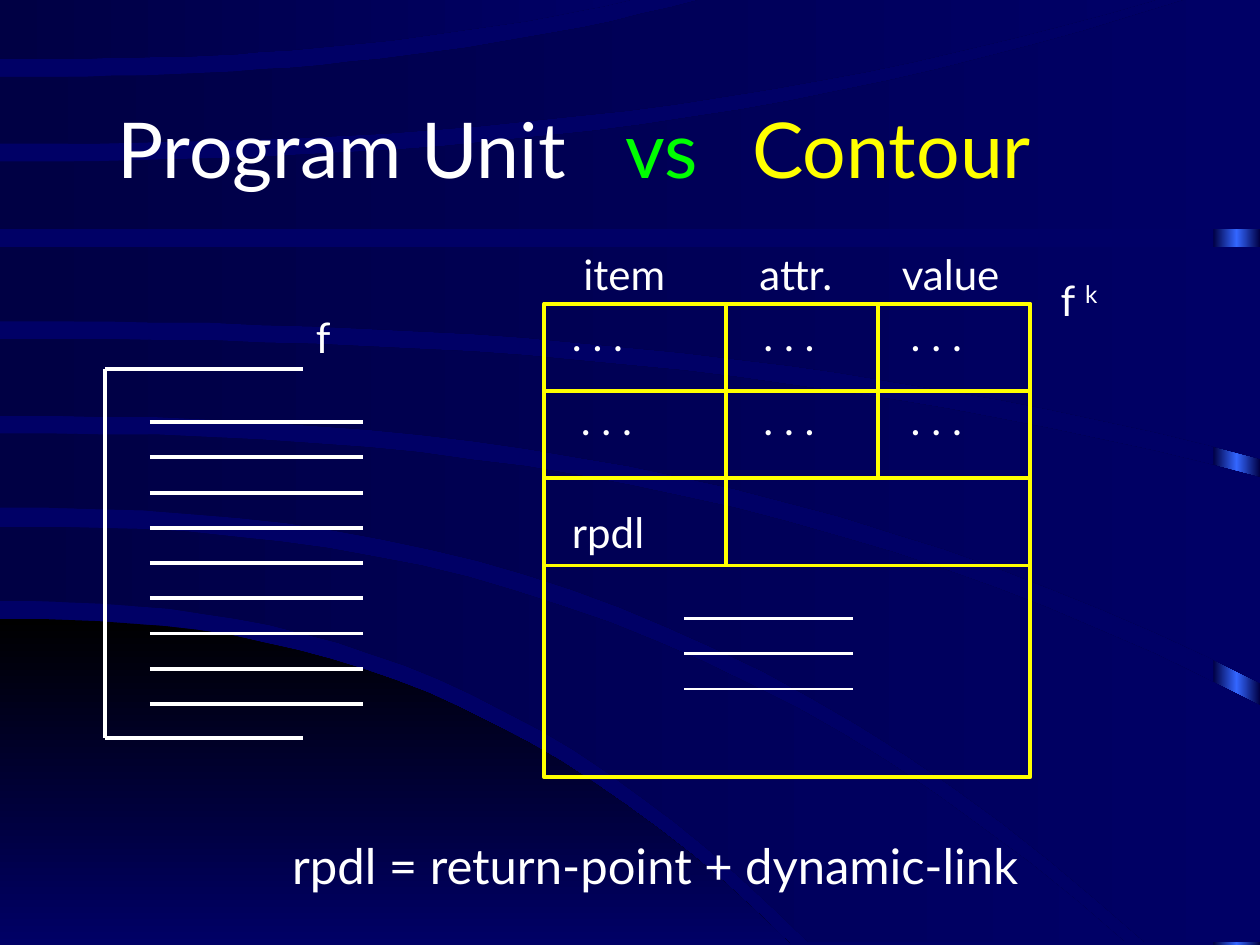
from copy import deepcopy

from lxml.etree import SubElement
from pptx import Presentation
from pptx.dml.color import RGBColor
from pptx.enum.shapes import MSO_CONNECTOR, MSO_SHAPE
from pptx.enum.text import MSO_ANCHOR, MSO_AUTO_SIZE, PP_ALIGN
from pptx.oxml.ns import qn
from pptx.util import Cm, Pt

FONT = "Lato"
WHITE, YELLOW, GREEN = "FFFFFF", "FFFF00", "00FF00"
BLACK, NAVY, MIDNIGHT, BRIGHT = "000000", "000066", "000044", "3366FF"

# Backdrop edges as (y at the left side, end x, end y), on a 1000 x 750 grid
GRID_UNIT = Cm(25.4) / 1000
EDGE_STEPS = 24
EDGE_POWER = 2.4
HILL = ((491, 628, 750), (750, 628, 750))
BANDS = [
    ((418, 893, 748), (477, 642, 748)),
    ((344, 1000, 560), (403, 909, 748)),
    ((269, 1000, 379), (330, 1000, 542)),
    ((196, 1000, 196), (255, 1000, 364)),
    ((128, 940, 0), (182, 1000, 182)),
    ((61, 555, 0), (114, 917, 0)),
    ((0, 500, 0), (47, 500, 0)),
]

TABLE_LEFT, TABLE_TOP, TABLE_RIGHT, TABLE_BOTTOM = 10.97, 6.12, 20.77, 15.67
ROW_HEIGHT = 1.76
COLUMN_LINES = [(14.63, 3), (17.7, 2)]  # x and number of rows crossed
LINE_GAP = 0.71


def color(value):
    return RGBColor.from_string(value)


def paint_gradient(shape, colors, angle=0):
    """Spread the colours evenly; the angle runs counter-clockwise."""
    shape.shadow.inherit = False
    shape.line.fill.background()
    shape.fill.gradient()
    shape.fill.gradient_angle = angle
    stop_list = shape._element.spPr.find(".//" + qn("a:gsLst"))
    for _ in colors[2:]:
        stop_list.append(deepcopy(stop_list[-1]))
    for index, (stop, value) in enumerate(zip(shape.fill.gradient_stops, colors)):
        stop.position = index / (len(colors) - 1)
        stop.color.rgb = color(value)


def edge_points(start_y, end_x, end_y):
    """Follow a curve that leaves the left side level and bends ever more."""
    shares = [step / EDGE_STEPS for step in range(EDGE_STEPS + 1)]
    return [(end_x * share, start_y + (end_y - start_y) * share ** EDGE_POWER)
            for share in shares]


def add_band(page, edges, colors, angle=0):
    upper, lower = (edge_points(*edge) for edge in edges)
    nearer, farther = sorted((upper[-1], lower[-1]))
    corner = (farther[0], nearer[1])
    points = [*upper, corner, *reversed(lower)]
    builder = page.shapes.build_freeform(*points[0], scale=GRID_UNIT)
    builder.add_line_segments(points[1:], close=True)
    paint_gradient(builder.convert_to_shape(), colors, angle)


def add_backdrop(page):
    background = page.background.fill
    background.solid()
    background.fore_color.rgb = color(NAVY)
    strip = page.shapes.add_shape(
        MSO_SHAPE.RECTANGLE, Cm(24.46), 0, Cm(0.94), Cm(19.05))
    paint_gradient(strip, [MIDNIGHT, BRIGHT, MIDNIGHT])
    add_band(page, HILL, [BLACK, NAVY], 270)
    for band in BANDS:
        add_band(page, band, [MIDNIGHT, NAVY])


def add_line(shapes, start, end, value=WHITE, width=2.25):
    line = shapes.add_connector(
        MSO_CONNECTOR.STRAIGHT, *(Cm(length) for length in (*start, *end)))
    line.line.color.rgb = color(value)
    line.line.width = Pt(width)
    SubElement(line._element.spPr, qn("a:effectLst"))


def add_text(page, left, top, text, width=2.3, size=24, wrap=True):
    box = page.shapes.add_textbox(Cm(left), Cm(top), Cm(width), Cm(1.27))
    frame = box.text_frame
    frame.word_wrap = wrap
    frame.auto_size = MSO_AUTO_SIZE.SHAPE_TO_FIT_TEXT
    paragraph = frame.paragraphs[0]
    paragraph.add_run().text = text
    paragraph.font.name = FONT
    paragraph.font.size = Pt(size)
    paragraph.font.color.rgb = color(WHITE)
    return paragraph


def format_title(page):
    title = page.shapes.title
    page.shapes._spTree.append(title._element)  # in front of the backdrop
    title.left, title.top, title.width, title.height = (
        Cm(2.11), Cm(1.91), Cm(19.81), Cm(3.99))
    frame = title.text_frame
    frame.vertical_anchor = MSO_ANCHOR.TOP
    frame.auto_size = MSO_AUTO_SIZE.NONE
    paragraph = frame.paragraphs[0]
    paragraph.alignment = PP_ALIGN.LEFT
    tabs = SubElement(paragraph._p.get_or_add_pPr(), qn("a:tabLst"))
    for position in (10.25, 12.8):
        SubElement(tabs, qn("a:tab"), pos=str(Cm(position)), algn="l")
    paragraph.font.name = FONT
    paragraph.font.size = Pt(44)
    for text, value in (("Program Unit", WHITE), ("\tvs", GREEN), ("\tContour", YELLOW)):
        span = paragraph.add_run()
        span.text = text
        span.font.color.rgb = color(value)


def add_program_unit(page):
    shapes = page.shapes.add_group_shape().shapes
    left, right, top, bottom = 2.11, 6.1, 7.44, 14.88
    add_line(shapes, (right, top), (left, top))
    add_line(shapes, (left, top), (left, bottom))
    add_line(shapes, (right, bottom), (left, bottom))
    for index in range(9):
        y = 8.51 + index * LINE_GAP
        add_line(shapes, (3.02, y), (7.32, y))
    add_text(page, 6.12, 6.15, "f", 1.83)


def add_contour(page):
    frame = page.shapes.add_shape(
        MSO_SHAPE.RECTANGLE, Cm(TABLE_LEFT), Cm(TABLE_TOP),
        Cm(TABLE_RIGHT - TABLE_LEFT), Cm(TABLE_BOTTOM - TABLE_TOP))
    frame.shadow.inherit = False
    frame.fill.background()
    frame.line.color.rgb = color(YELLOW)
    frame.line.width = Pt(2.25)
    for row in (1, 2, 3):
        y = TABLE_TOP + row * ROW_HEIGHT
        add_line(page.shapes, (TABLE_LEFT, y), (TABLE_RIGHT, y), YELLOW)
    for x, rows in COLUMN_LINES:
        add_line(page.shapes, (x, TABLE_TOP), (x, TABLE_TOP + rows * ROW_HEIGHT), YELLOW)
    code = page.shapes.add_group_shape().shapes
    for index in range(3):
        y = 12.47 + index * LINE_GAP
        add_line(code, (13.79, y), (17.2, y), WHITE, 1.5)

    for left, heading in ((11.51, "item"), (15.06, "attr."), (17.93, "value")):
        add_text(page, left, 4.88, heading, 3.2)
    for top, lefts in ((6.12, (11.28, 15.14, 18.11)), (7.8, (11.46, 15.14, 18.11))):
        for left in lefts:
            add_text(page, left, top, ". . .")
    add_text(page, 11.28, 10.08, "rpdl", 2.77)
    power = add_text(page, 21.13, 5.41, "f ", 2.13).add_run()
    power.text = "k"
    power.font._element.set("baseline", "30000")


def main():
    deck = Presentation()
    deck.slide_width, deck.slide_height = Cm(25.4), Cm(19.05)
    page = deck.slides.add_slide(deck.slide_layouts[5])
    add_backdrop(page)
    format_title(page)
    add_contour(page)
    add_program_unit(page)
    add_text(page, 5.64, 16.71, "rpdl = return-point + dynamic-link", 16.1, 28, False)
    deck.save("out.pptx")


if __name__ == "__main__":
    main()
